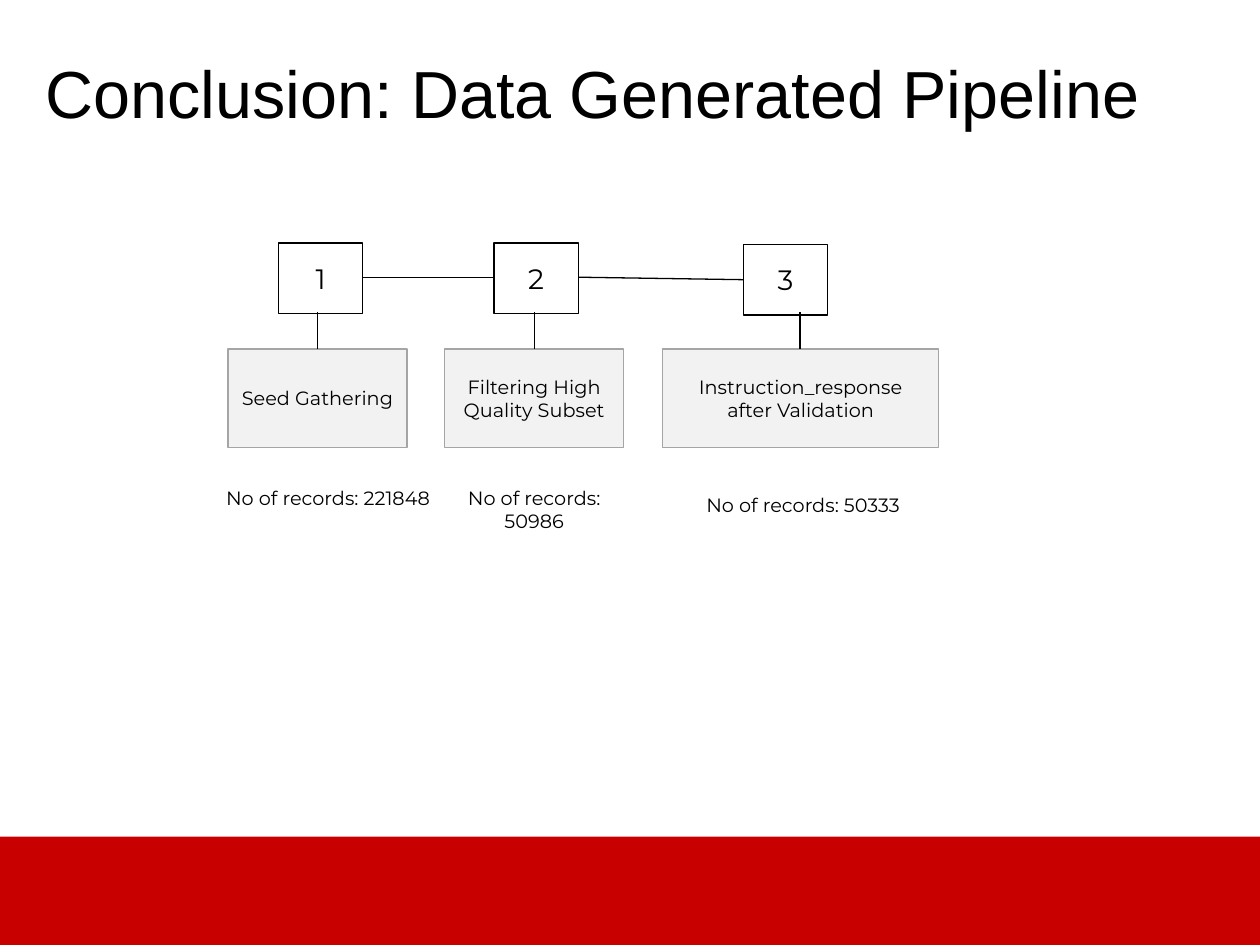
from pptx import Presentation, util as u
from pptx.dml.color import RGBColor
from pptx.enum import shapes, text
from pptx.oxml.ns import qn
from lxml import etree

C = {"ink": "000000", "red": "C80000", "panel": "F2F2F2", "edge": "A5A5A5"}
W, H = u.Inches(10), u.Inches(7.5)
COL, ROW = W / 100, H / 75
STAGES = [
    dict(num="1", label="Seed Gathering", records="221848",
         box=(18.1, 14.2), badge=(22.1, 19.3), stem=25.2, note=(16.9, 18.3)),
    dict(num="2", label="Filtering High Quality Subset", records="50986",
         box=(35.3, 14.2), badge=(39.2, 19.3), stem=42.4, note=(35.3, 14.2)),
    dict(num="3", label="Instruction_response after Validation", records="50333",
         box=(52.6, 21.9), badge=(59, 19.4), stem=63.5, note=(52.8, 21.9), spacing=1.3),
]


def grid(x, y, w, h):
    """Turn columns and rows into slide lengths."""
    return int(x * COL), int(y * ROW), int(w * COL), int(h * ROW)


def write(sp, words, size=11, font="Montserrat", align="CENTER", anchor="TOP",
          pad=0.05, top=None, spacing=None):
    """Write one formatted paragraph into a shape."""
    tf = sp.text_frame
    tf.word_wrap = True
    tf.vertical_anchor = text.MSO_ANCHOR[anchor]
    tf.margin_left = tf.margin_right = u.Inches(0.1)
    tf.margin_top, tf.margin_bottom = u.Inches(top or pad), u.Inches(pad)
    p = tf.paragraphs[0]
    p.alignment = text.PP_ALIGN[align]
    if spacing:
        p.line_spacing = spacing
    r = p.add_run()
    r.text = words
    r.font.size, r.font.name = u.Pt(size), font
    r.font.color.rgb = RGBColor.from_string(C["ink"])


def rect(s, box, fill=None, line=None):
    """Add a flat rectangle."""
    sp = s.shapes.add_shape(shapes.MSO_SHAPE.RECTANGLE, *grid(*box))
    sp.shadow.inherit = False
    if fill:
        sp.fill.solid()
        sp.fill.fore_color.rgb = RGBColor.from_string(C[fill])
    else:
        sp.fill.background()
    if line:
        sp.line.color.rgb = RGBColor.from_string(C[line])
        sp.line.width = u.Pt(0.75)
    else:
        sp.line.fill.background()
    return sp


def link(s, x1, y1, x2, y2):
    """Add a thin straight connector."""
    start, end = grid(x1, y1, 0, 0)[:2], grid(x2, y2, 0, 0)[:2]
    cx = s.shapes.add_connector(shapes.MSO_CONNECTOR.STRAIGHT, *start, *end)
    cx.line.color.rgb = RGBColor.from_string(C["ink"])
    cx.line.width = u.Pt(0.75)
    etree.SubElement(cx._element.spPr, qn("a:effectLst"))


def title(s, box):
    """Place the slide title."""
    write(s.shapes.add_textbox(*grid(*box)), "Conclusion: Data Generated Pipeline",
          size=38, font="Arial", align="LEFT", top=0.11)


def stage(s, y, d):
    """Place one stage: badge, stem, label box and record count."""
    (bx, by), (x, w), (nx, nw) = d["badge"], d["box"], d["note"]
    write(rect(s, (bx, by, 6.7, 5.6), line="ink"), d["num"], size=16,
          anchor="MIDDLE", pad=0.1)
    write(rect(s, (x, y + 8.4, w, 7.8), "panel", "edge"), d["label"],
          anchor="MIDDLE", pad=0.1)
    link(s, d["stem"], y + 5.5, d["stem"], y + 8.4)
    write(s.shapes.add_textbox(*grid(nx, y + 18.8, nw, 4.7)),
          "No of records: " + d["records"], spacing=d.get("spacing"))


def pipeline(s, y):
    """Place all stages and join neighbouring badges."""
    for d in STAGES:
        stage(s, y, d)
    for a, b in zip(STAGES, STAGES[1:]):
        (ax, ay), (bx, by) = a["badge"], b["badge"]
        link(s, ax + 6.7, ay + 2.7, bx, by + 2.8 if by > ay else by + 2.7)


def main():
    """Build and save the slide."""
    prs = Presentation()
    prs.slide_width, prs.slide_height = W, H
    s = prs.slides.add_slide(prs.slide_layouts[6])
    rect(s, (0, 66.4, 100, 8.6), "red")
    title(s, (2.6, 3, 90.8, 10.8))
    pipeline(s, 19.3)
    prs.save("out.pptx")


if __name__ == "__main__":
    main()
